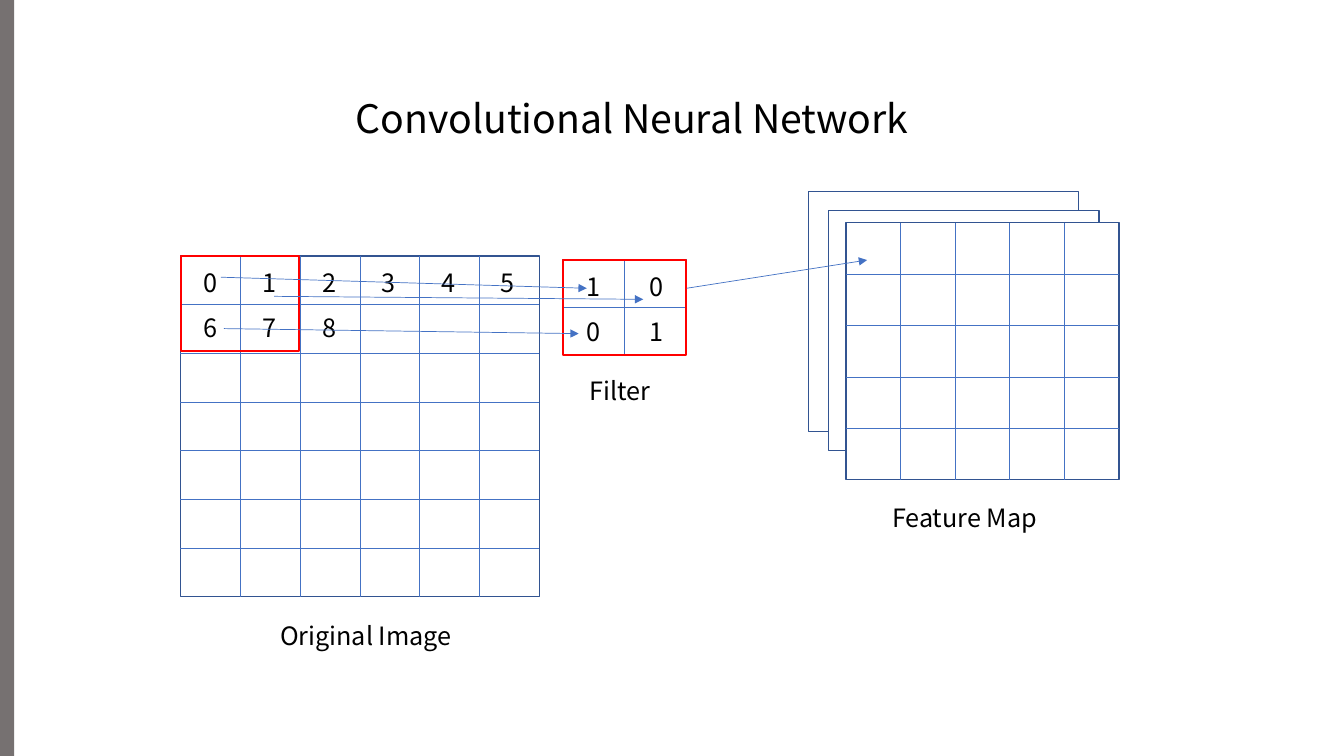
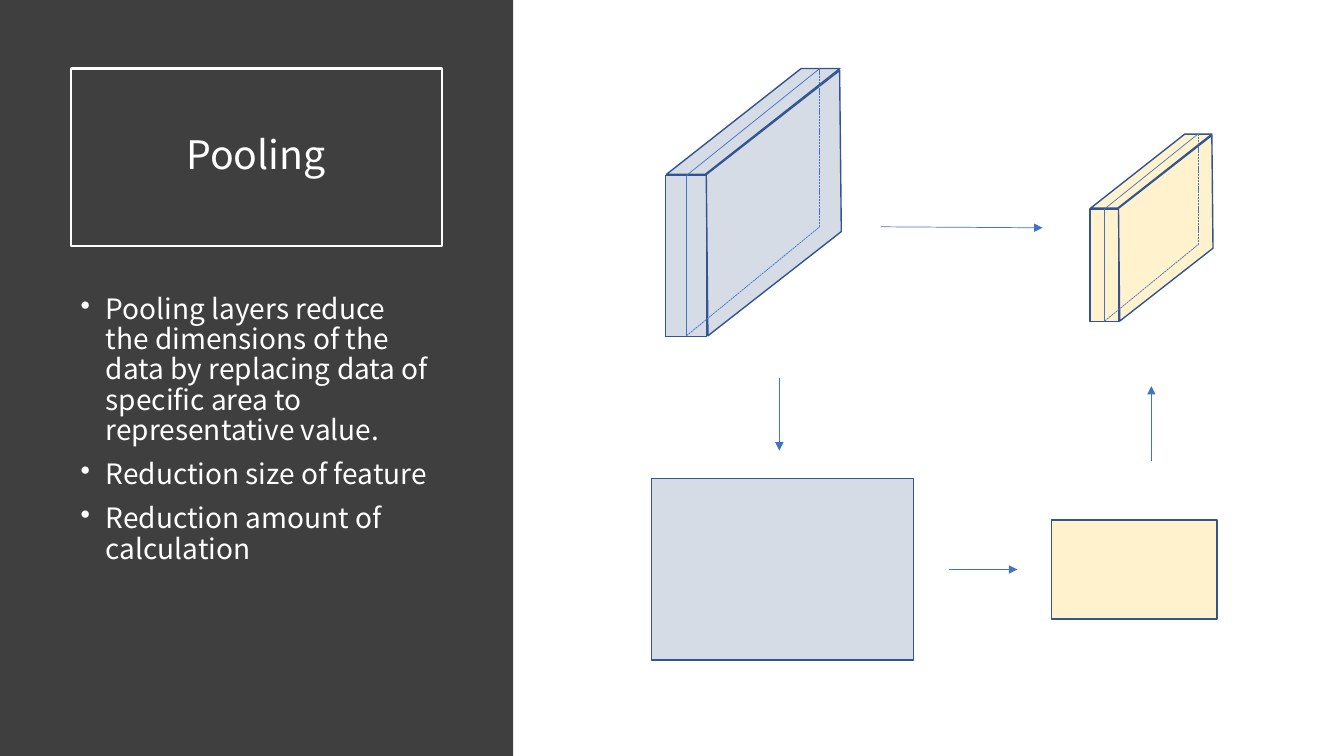
from dataclasses import dataclass
from itertools import product
from typing import Any, NamedTuple, Optional

from lxml import etree
from pptx import Presentation
from pptx import util as u
from pptx.dml import color
from pptx.enum import dml, shapes, text
from pptx.oxml import ns

Kind = shapes.MSO_SHAPE
Align = text.PP_ALIGN
Anchor = text.MSO_ANCHOR


@dataclass(frozen=True)
class Theme:
    font: str = "Noto Sans CJK KR"
    ink: str = "000000"
    white: str = "FFFFFF"
    band: str = "767171"
    panel: str = "3F3F3F"
    edge: str = "325491"
    line: str = "4472C4"
    mark: str = "FF0000"
    slate: str = "D6DCE5"
    cream: str = "FFF2CC"
    title: int = 28
    body: int = 20
    label: int = 18
    thin: float = 0.5
    mid: float = 1
    bold: float = 1.5


class Box(NamedTuple):
    x: float
    y: float
    w: float
    h: float


class Point(NamedTuple):
    x: float
    y: float


class Label(NamedTuple):
    words: str
    box: Box


class Grid(NamedTuple):
    box: Box
    cols: int
    rows: int


class Digits(NamedTuple):
    lines: tuple[str, ...]
    cell: Box
    dx: float
    dy: float


class Arrow(NamedTuple):
    start: Point
    end: Point


class Block(NamedTuple):
    at: Point
    scale: float
    fill: str


T = Theme()

LABELS = (
    Label("Feature Map", Box(8.75, 4.93, 2.06, 0.43)),
    Label("Original Image", Box(2.68, 6.11, 2.14, 0.4)),
    Label("Filter", Box(5.75, 3.67, 0.86, 0.4)),
)
SHEETS = (Box(8.02, 1.9, 2.68, 2.38), Box(8.22, 2.09, 2.68, 2.38))
GRIDS = (
    Grid(Box(1.79, 2.54, 3.56, 3.38), 6, 7),
    Grid(Box(5.58, 2.58, 1.23, 0.94), 2, 2),
    Grid(Box(8.39, 2.21, 2.71, 2.55), 5, 5),
)
MARKS = (Box(1.8, 2.54, 1.17, 0.94), Box(5.58, 2.58, 1.22, 0.94))
DIGITS = (
    Digits(("012345", "678"), Box(1.92, 2.6, 0.32, 0.32), 0.59, 0.45),
    Digits(("10", "01"), Box(5.72, 2.64, 0.49, 0.4), 0.62, 0.45),
)
SCANS = (
    Arrow(Point(2.19, 2.75), Point(5.82, 2.86)),
    Arrow(Point(2.72, 2.94), Point(6.38, 2.97)),
    Arrow(Point(2.22, 3.26), Point(5.74, 3.31)),
    Arrow(Point(6.81, 2.86), Point(8.6, 2.58)),
)
BULLETS = (
    "Pooling layers reduce the dimensions of the data by replacing "
    "data of specific area to representative value.",
    "Reduction size of feature",
    "Reduction amount of calculation",
)
BLOCKS = (
    Block(Point(6.6, 0.68), 1, T.slate),
    Block(Point(10.81, 1.33), 0.7, T.cream),
)
PLANES = (
    (Box(6.46, 4.75, 2.6, 1.8), T.slate),
    (Box(10.43, 5.16, 1.64, 0.98), T.cream),
)
STEPS = (
    Arrow(Point(7.73, 3.75), Point(7.73, 4.47)),
    Arrow(Point(9.41, 5.65), Point(10.09, 5.65)),
    Arrow(Point(8.74, 2.25), Point(10.34, 2.26)),
    Arrow(Point(11.42, 4.57), Point(11.42, 3.83)),
)


def apply(item: Any, form: dict[str, Any]) -> None:
    for name, value in form.items():
        setattr(item, name, value)


def rgb(code: str) -> color.RGBColor:
    return color.RGBColor.from_string(code)


def span(nums: tuple[float, ...]) -> list[u.Length]:
    return [u.Inches(n) for n in nums]


def shape(slide: Any, box: Box, fill: Optional[str] = None,
          edge: Optional[str] = None, width: float = T.mid,
          kind: Any = Kind.RECTANGLE) -> Any:
    item = slide.shapes.add_shape(kind, *span(box))
    item.shadow.inherit = False
    for part, code in ((item.fill, fill), (item.line.fill, edge)):
        if code:
            part.solid()
            part.fore_color.rgb = rgb(code)
        else:
            part.background()
    if edge:
        item.line.width = u.Pt(width)
    return item


def line(slide: Any, start: Point, end: Point, dash: bool = False,
         head: bool = False) -> None:
    item = slide.shapes.add_connector(
        shapes.MSO_CONNECTOR.STRAIGHT, *span(start + end))
    item.line.color.rgb = rgb(T.line)
    item.line.width = u.Pt(T.thin)
    if dash:
        item.line.dash_style = dml.MSO_LINE.SQUARE_DOT
    if head:
        tip = etree.SubElement(item.line._get_or_add_ln(), ns.qn("a:tailEnd"))
        tip.set("type", "triangle")
    etree.SubElement(item._element.spPr, ns.qn("a:effectLst"))


def write(item: Any, lines: tuple[str, ...], size: int, ink: str = T.ink,
          anchor: Any = Anchor.TOP, form: Optional[dict[str, Any]] = None,
          bullet: bool = False) -> None:
    frame = item.text_frame
    apply(frame, {"word_wrap": True, "vertical_anchor": anchor})
    frame.text = "\n".join(lines)
    for para in frame.paragraphs:
        apply(para, {"alignment": Align.LEFT, **(form or {})})
        font = para.runs[0].font
        apply(font, {"name": T.font, "size": u.Pt(size)})
        font.color.rgb = rgb(ink)
        if bullet:
            props = para._p.get_or_add_pPr()
            apply_in = {"marL": u.Inches(0.25), "indent": u.Inches(-0.25)}
            for name, value in apply_in.items():
                props.set(name, str(value))
            etree.SubElement(props, ns.qn("a:buChar")).set("char", "•")


def label(slide: Any, words: str, box: Box) -> None:
    write(slide.shapes.add_textbox(*span(box)), (words,), T.label)


def grid(slide: Any, net: Grid) -> None:
    x, y, w, h = net.box
    shape(slide, net.box, edge=T.edge)
    for col in range(1, net.cols):
        at = x + w * col / net.cols
        line(slide, Point(at, y), Point(at, y + h))
    for row in range(1, net.rows):
        at = y + h * row / net.rows
        line(slide, Point(x, at), Point(x + w, at))


def digits(slide: Any, nums: Digits) -> None:
    x, y, w, h = nums.cell
    for row, marks in enumerate(nums.lines):
        for col, mark in enumerate(marks):
            label(slide, mark, Box(x + col * nums.dx, y + row * nums.dy, w, h))


def block(slide: Any, part: Block) -> None:
    def put(x: float, y: float) -> Point:
        return Point(part.at.x + x * part.scale, part.at.y + y * part.scale)

    def face(box: Box, kind: Any, skew: float = 0, turn: float = 0) -> None:
        place = Box(*put(box.x, box.y), box.w * part.scale, box.h * part.scale)
        item = shape(slide, place, part.fill, T.edge, kind=kind)
        item.rotation = turn
        if skew:
            item.adjustments[0] = skew

    face(Box(0.01, 0, 1.72, 1.05), Kind.PARALLELOGRAM, 1.272)
    face(Box(0, 1.06, 0.41, 1.6), Kind.RECTANGLE)
    face(Box(-0.25, 0.7, 2.65, 1.27), Kind.PARALLELOGRAM, 0.765, 322)
    near, low = put(0.21, 1.06), put(0.21, 2.65)
    far, deep = put(1.53, 0), put(1.53, 1.57)
    for start, end, dash in ((near, far, False), (near, low, False),
                             (low, deep, True), (deep, far, True)):
        line(slide, start, end, dash)


def network(slide: Any) -> None:
    shape(slide, Box(0, 0, 0.14, 7.5), T.band)
    title = slide.shapes.add_textbox(*span(Box(3.43, 0.63, 7.98, 0.83)))
    write(title, ("Convolutional Neural Network",), T.title,
          anchor=Anchor.BOTTOM,
          form={"line_spacing": 0.9, "space_after": u.Pt(6)})
    for box in SHEETS:
        shape(slide, box, T.white, T.edge)
    shape(slide, GRIDS[-1].box, T.white)
    for net in GRIDS:
        grid(slide, net)
    for nums in DIGITS:
        digits(slide, nums)
    for box in MARKS:
        shape(slide, box, edge=T.mark, width=T.bold)
    for scan in SCANS:
        line(slide, *scan, head=True)
    for item in LABELS:
        label(slide, *item)


def pooling(slide: Any) -> None:
    shape(slide, Box(0, 0, 5.09, 7.5), T.panel)
    title = shape(slide, Box(0.7, 0.68, 3.68, 1.76), edge=T.white, width=T.bold)
    write(title, ("Pooling",), T.title, T.white, Anchor.MIDDLE,
          {"alignment": Align.CENTER, "line_spacing": 0.9})
    body = slide.shapes.add_textbox(*span(Box(0.7, 2.88, 3.68, 3.74)))
    write(body, BULLETS, T.body, T.white,
          form={"line_spacing": 0.9, "space_before": u.Pt(10)}, bullet=True)
    for part in BLOCKS:
        block(slide, part)
    for box, fill in PLANES:
        shape(slide, box, fill, T.edge)
    for step in STEPS:
        line(slide, *step, head=True)


def main() -> None:
    deck = Presentation()
    apply(deck, {"slide_width": u.Inches(13.33), "slide_height": u.Inches(7.5)})
    for draw in (network, pooling):
        draw(deck.slides.add_slide(deck.slide_layouts[6]))
    deck.save("out.pptx")


if __name__ == "__main__":
    main()
